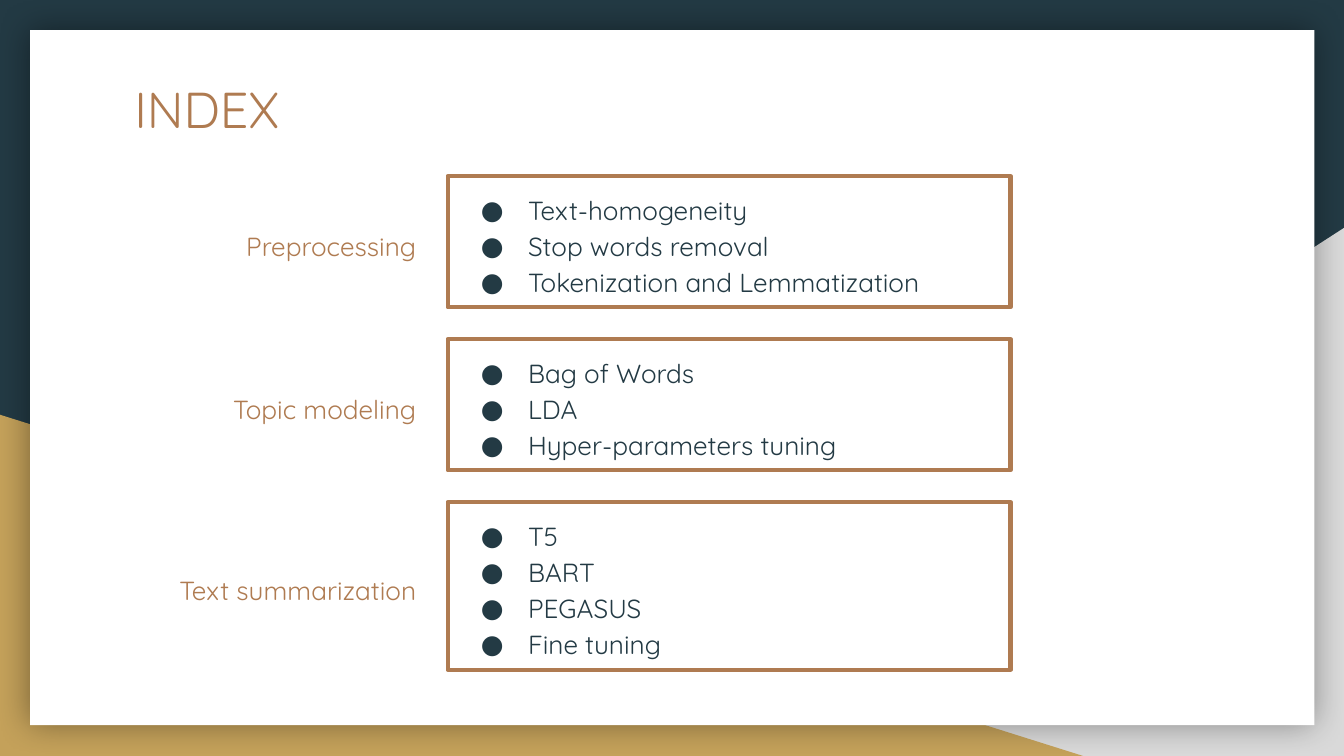
from lxml.etree import SubElement
from pptx import Presentation
from pptx.dml.color import RGBColor
from pptx.enum.shapes import MSO_SHAPE
from pptx.enum.text import MSO_ANCHOR, MSO_AUTO_SIZE, PP_ALIGN
from pptx.oxml import parse_xml
from pptx.oxml.ns import nsdecls, qn
from pptx.util import Cm, Pt

# Content
TITLE = "INDEX"
SECTIONS = [
    ("Preprocessing", ["Text-homogeneity", "Stop words removal", "Tokenization and Lemmatization"]),
    ("Topic modeling", ["Bag of Words", "LDA", "Hyper-parameters tuning"]),
    ("Text summarization", ["T5", "BART", "PEGASUS", "Fine tuning"]),
]

# Style
COLORS = {"navy": "233A44", "copper": "AF7B51", "gold": "C4A15A",
          "grey": "D9D9D9", "white": "FFFFFF"}
FONT = "Quicksand"

# Layout in centimetres
SLIDE_WIDTH, SLIDE_HEIGHT = 25.4, 14.29
BOX_LEFT, BOX_WIDTH, FIRST_TOP = 8.46, 10.64, 3.33
BOX_PADDING, LINE_HEIGHT, BOX_GAP = 0.41, 0.69, 0.6
LABEL_LEFT, LABEL_WIDTH, LABEL_HEIGHT = 3.12, 5, 1.12
INSET = 0.25


def color(name):
    return RGBColor.from_string(COLORS[name])


def add_panel(kind, left, top, width, height, fill, line=None):
    shape = slide.shapes.add_shape(kind, Cm(left), Cm(top), Cm(width), Cm(height))
    shape.shadow.inherit = False
    shape.fill.solid()
    shape.fill.fore_color.rgb = color(fill)
    if line:
        shape.line.color.rgb = color(line)
        shape.line.width = Pt(2.25)
        SubElement(shape.line._get_or_add_ln(), qn("a:round"))
    else:
        shape.line.fill.background()
    return shape


def write(shape, lines, size, font_color, align=PP_ALIGN.LEFT, spacing=1.15):
    frame = shape.text_frame
    frame.text = "\n".join(lines)
    frame.word_wrap = True
    frame.vertical_anchor = MSO_ANCHOR.TOP
    frame.margin_left = frame.margin_right = Cm(INSET)
    frame.margin_top = frame.margin_bottom = Cm(INSET)
    for paragraph in frame.paragraphs:
        paragraph.alignment = align
        paragraph.line_spacing = spacing
        font = paragraph.runs[0].font
        font.name, font.size = FONT, Pt(size)
        font.color.rgb = color(font_color)


def add_bullets(shape):
    for paragraph in shape.text_frame.paragraphs:
        properties = paragraph._p.get_or_add_pPr()
        properties.set("marL", str(Cm(1.27)))
        properties.set("indent", str(-Cm(0.89)))
        bullet_color = SubElement(properties, qn("a:buClr"))
        SubElement(bullet_color, qn("a:srgbClr"), val=COLORS["navy"])
        SubElement(properties, qn("a:buFont"), typeface=FONT)
        SubElement(properties, qn("a:buChar"), char="●")


presentation = Presentation()
presentation.slide_width, presentation.slide_height = Cm(SLIDE_WIDTH), Cm(SLIDE_HEIGHT)
slide = presentation.slides.add_slide(presentation.slide_layouts[6])

# Background with corner triangles and a shadowed white card
slide.background.fill.solid()
slide.background.fill.fore_color.rgb = color("navy")
grey_corner = add_panel(MSO_SHAPE.RIGHT_TRIANGLE, 9.96, 4.31, 15.44, 9.98, "grey")
grey_corner.element.spPr.xfrm.set("flipH", "1")
add_panel(MSO_SHAPE.RIGHT_TRIANGLE, 0, 7.84, 20.47, 6.45, "gold")
card = add_panel(MSO_SHAPE.RECTANGLE, 0.57, 0.57, 24.27, 13.14, "white")
card.element.spPr.find(qn("a:effectLst")).append(parse_xml(
    f'<a:outerShdw {nsdecls("a")} blurRad="{Pt(18)}" dist="0" algn="ctr" rotWithShape="0">'
    '<a:srgbClr val="000000"><a:alpha val="40000"/></a:srgbClr></a:outerShdw>'))

# Title
title = slide.shapes.add_textbox(Cm(2.29), Cm(1.22), Cm(17.78), Cm(1.3))
write(title, [TITLE], 27, "copper", spacing=1.0)

# Sections: a label centred beside each bulleted box
top = FIRST_TOP
for name, items in SECTIONS:
    height = BOX_PADDING + LINE_HEIGHT * len(items)
    label = add_panel(MSO_SHAPE.RECTANGLE, LABEL_LEFT, top + (height - LABEL_HEIGHT) / 2,
                      LABEL_WIDTH, LABEL_HEIGHT, "white", "white")
    write(label, [name], 14, "copper", PP_ALIGN.RIGHT)
    box = add_panel(MSO_SHAPE.RECTANGLE, BOX_LEFT, top, BOX_WIDTH, height, "white", "copper")
    write(box, items, 14, "navy")
    add_bullets(box)
    for shape in (label, box):
        shape.text_frame.auto_size = MSO_AUTO_SIZE.SHAPE_TO_FIT_TEXT
    top += height + BOX_GAP

presentation.save("out.pptx")
